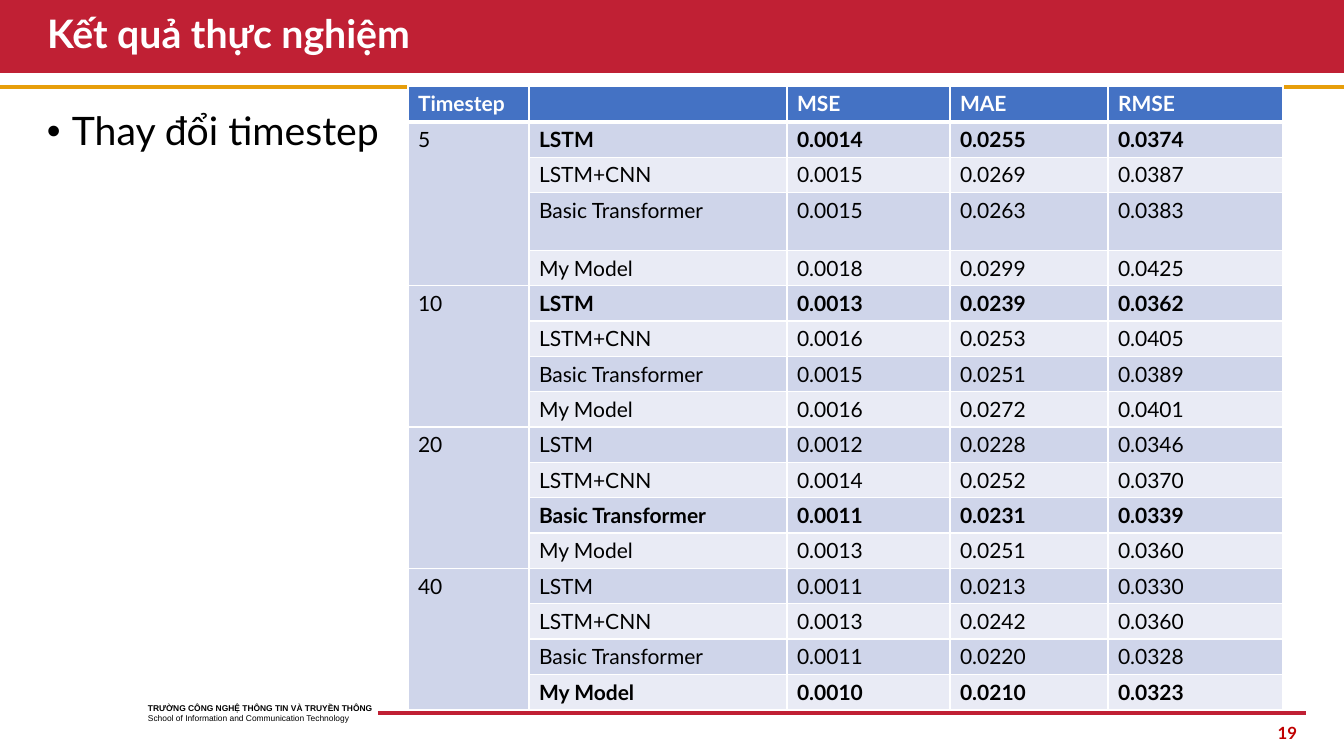
from lxml import etree
from pptx import Presentation
from pptx.dml.color import RGBColor
from pptx.enum.shapes import MSO_CONNECTOR
from pptx.enum.text import MSO_ANCHOR, PP_ALIGN
from pptx.oxml.ns import qn
from pptx.util import Emu, Pt

STRAIGHT = MSO_CONNECTOR.STRAIGHT
TOP, MIDDLE = MSO_ANCHOR.TOP, MSO_ANCHOR.MIDDLE
LEFT, RIGHT = PP_ALIGN.LEFT, PP_ALIGN.RIGHT

SCALE = 914400 / 100.8
WIDTH, HEIGHT = 1344, 756

BLACK = RGBColor(0x00, 0x00, 0x00)
WHITE = RGBColor(0xFF, 0xFF, 0xFF)
CRIMSON = RGBColor(0xC0, 0x20, 0x34)
AMBER = RGBColor(0xE7, 0x9E, 0x0A)
DARK_RED = RGBColor(0xC0, 0x00, 0x00)
HEADER_BLUE = RGBColor(0x44, 0x72, 0xC4)
BANDS = RGBColor(0xCF, 0xD5, 0xEA), RGBColor(0xE9, 0xEB, 0xF5)

HEADINGS = "Timestep", "", "MSE", "MAE", "RMSE"
MODELS = "LSTM", "LSTM+CNN", "Basic Transformer", "My Model"
# Timestep, best model, then MSE, MAE and RMSE of each model
RESULTS = [
    ("5", "LSTM", ["0.0014 0.0255 0.0374", "0.0015 0.0269 0.0387",
                   "0.0015 0.0263 0.0383", "0.0018 0.0299 0.0425"]),
    ("10", "LSTM", ["0.0013 0.0239 0.0362", "0.0016 0.0253 0.0405",
                    "0.0015 0.0251 0.0389", "0.0016 0.0272 0.0401"]),
    ("20", "Basic Transformer", ["0.0012 0.0228 0.0346", "0.0014 0.0252 0.0370",
                                 "0.0011 0.0231 0.0339", "0.0013 0.0251 0.0360"]),
    ("40", "My Model", ["0.0011 0.0213 0.0330", "0.0013 0.0242 0.0360",
                        "0.0011 0.0220 0.0328", "0.0010 0.0210 0.0323"]),
]
COLUMN_WIDTHS = 121, 258, 163, 158, 175
TABLE_HEIGHT, TALL_ROW, TALL_HEIGHT = 623, 3, 58


def px(length):
    """Turn pixels into EMU."""
    return Emu(round(length * SCALE))


def apply(target, values):
    """Set each attribute named in a dict."""
    for name, value in values.items():
        setattr(target, name, value)


class SlideBuilder:
    """Holds the text style and the current slide."""

    def __init__(self, deck, font="Lato"):
        self.page = deck.slides.add_slide(deck.slide_layouts[5])
        self.font = font

    def fill_text(self, frame, lines, size, color=BLACK, bold=False, font=None, **layout):
        """Put lines, split by line breaks, into the first paragraph."""
        para = frame.paragraphs[0]
        apply(para, layout)
        for number, line in enumerate(lines):
            if number:
                para.add_line_break()
            text, is_bold = line if isinstance(line, tuple) else (line, bold)
            if not text:
                etree.SubElement(para._p, qn("a:endParaRPr"), sz=str(size * 100))
                continue
            span = para.add_run()
            span.text = text
            apply(span.font, {"name": font or self.font, "size": Pt(size), "bold": is_bold})
            span.font.color.rgb = color
        return para

    def line(self, start, end, color, weight):
        """Draw a straight line without a shadow."""
        rule = self.page.shapes.add_connector(STRAIGHT, *map(px, start + end))
        rule.line.color.rgb = color
        rule.line.width = Pt(weight)
        etree.SubElement(rule._element.spPr, qn("a:effectLst"))

    def title(self, place, text, size, color):
        """Place the title above the header band and format it."""
        box = self.page.shapes.title
        apply(box, dict(zip(("left", "top", "width", "height"), map(px, place))))
        apply(box.text_frame, {"word_wrap": True, "vertical_anchor": MIDDLE})
        self.fill_text(box.text_frame, [text], size, color, True,
                       alignment=LEFT, line_spacing=0.9)
        box.element.getparent().append(box.element)

    def text(self, place, lines, size, **style):
        """Add a wrapping text box and return its paragraph."""
        frame = self.page.shapes.add_textbox(*map(px, place)).text_frame
        apply(frame, {"word_wrap": True, "vertical_anchor": TOP})
        return self.fill_text(frame, lines, size, **style)

    def bullet(self, place, text, size, indent):
        """Add a text box with one bulleted paragraph."""
        para = self.text(place, [text], size, line_spacing=0.9)
        properties = para._p.get_or_add_pPr()
        properties.set("marL", str(px(indent)))
        properties.set("indent", str(-px(indent)))
        etree.SubElement(properties, qn("a:buFont"), typeface="Arial")
        etree.SubElement(properties, qn("a:buChar"), char="•")

    def borders(self, cell, row):
        """Give a cell white borders, thicker under the header row."""
        thick = {0: "lnB", 1: "lnT"}.get(row)
        properties = cell._tc.get_or_add_tcPr()
        for side in ("lnL", "lnR", "lnT", "lnB"):
            weight = Pt(3 if side == thick else 1)
            edge = etree.SubElement(properties, qn(f"a:{side}"), w=str(weight))
            fill = etree.SubElement(edge, qn("a:solidFill"))
            etree.SubElement(fill, qn("a:srgbClr"), val=str(WHITE))

    def cell(self, grid, row, column, text, bold):
        """Fill one table cell and set its text."""
        cell = grid.cell(row, column)
        self.borders(cell, row)
        band = BANDS[0] if column == 0 else BANDS[(row - 1) % 2]
        cell.fill.solid()
        cell.fill.fore_color.rgb = band if row else HEADER_BLUE
        self.fill_text(cell.text_frame, [text], 15, BLACK if row else WHITE, bold)

    def results_table(self, left, top):
        """Build the results table with one merged cell per timestep."""
        rows = [(HEADINGS, (True,) * len(HEADINGS))]
        for timestep, best, scores in RESULTS:
            for model, values in zip(MODELS, scores):
                label = timestep if model == MODELS[0] else ""
                bold = (False,) + (model == best,) * (len(HEADINGS) - 1)
                rows.append(((label, model, *values.split()), bold))
        place = left, top, sum(COLUMN_WIDTHS), TABLE_HEIGHT
        grid = self.page.shapes.add_table(len(rows), len(HEADINGS), *map(px, place)).table
        grid.horz_banding = False
        for column, width in zip(grid.columns, COLUMN_WIDTHS):
            column.width = px(width)
        usual_height = (TABLE_HEIGHT - TALL_HEIGHT) / (len(rows) - 1)
        for number, (texts, bolds) in enumerate(rows):
            grid.rows[number].height = px(TALL_HEIGHT if number == TALL_ROW else usual_height)
            for column, (text, bold) in enumerate(zip(texts, bolds)):
                self.cell(grid, number, column, text, bold)
        for first in range(1, len(rows), len(MODELS)):
            grid.cell(first, 0).merge(grid.cell(first + len(MODELS) - 1, 0))


def main():
    """Build the slide and save the deck."""
    deck = Presentation()
    apply(deck, {"slide_width": px(WIDTH), "slide_height": px(HEIGHT)})
    slide = SlideBuilder(deck)
    slide.line((0, 36), (WIDTH, 36), CRIMSON, 53)
    slide.line((0, 87), (WIDTH, 87), AMBER, 3.5)
    slide.text((138, 698, 291, 30),
               [("TRƯỜNG CÔNG NGHỆ THÔNG TIN VÀ TRUYỀN THÔNG", True),
                "School of Information and Communication Technology"],
               6, font="Arial")
    slide.line((378, 713), (1306, 713), CRIMSON, 2.25)
    slide.bullet((37, 107, 1269, 91), "Thay đổi timestep", 28, 25)
    slide.title((37, 12, 1269, 48), "Kết quả thực nghiệm", 28, WHITE)
    slide.results_table(408, 86)
    slide.text((1080, 718, 227, 30), ["19"], 12, color=DARK_RED, bold=True, alignment=RIGHT)
    deck.save("out.pptx")


main()
